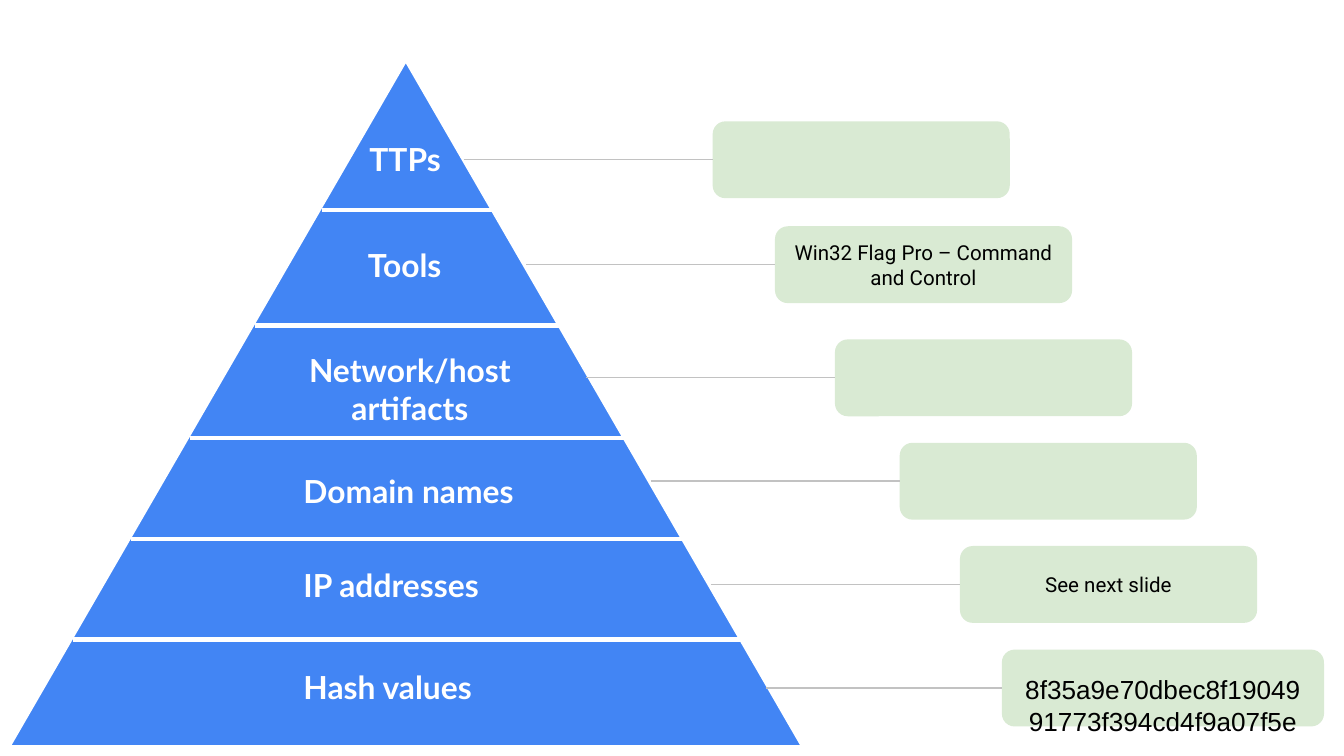
"""Build a pyramid-of-pain slide with one answer box for each level."""
from dataclasses import dataclass

from lxml import etree
from pptx import Presentation
from pptx.dml.color import RGBColor
from pptx.enum import shapes, text
from pptx.oxml import ns
from pptx.util import Pt


@dataclass(frozen=True)
class Theme:
    pyramid: RGBColor = RGBColor(0x42, 0x85, 0xF4)
    white: RGBColor = RGBColor(0xFF, 0xFF, 0xFF)
    answer: RGBColor = RGBColor(0xD9, 0xEA, 0xD3)
    leader: RGBColor = RGBColor(0xC2, 0xC2, 0xC2)
    ink: RGBColor = RGBColor(0, 0, 0)
    label_size: Pt = Pt(17)
    answer_size: Pt = Pt(11)
    hash_size: Pt = Pt(14)


theme = Theme()


def add_rule(parent, x1, x2, y, color, width):
    rule = parent.add_connector(shapes.MSO_CONNECTOR.STRAIGHT, Pt(x1), Pt(y), Pt(x2), Pt(y))
    rule.line.color.rgb = color
    rule.line.width = Pt(width)
    etree.SubElement(rule._element.spPr, ns.qn("a:effectLst"))
    return rule


def write(frame, wording, font_name, size, color, bold=False, align=None):
    frame.word_wrap = True
    frame.margin_left = frame.margin_right = Pt(7.2)
    frame.margin_top = frame.margin_bottom = Pt(7.2)
    paragraph = frame.paragraphs[0]
    paragraph.text = wording
    paragraph.alignment = align
    font = paragraph.font
    font.name, font.size, font.bold = font_name, size, bold
    font.color.rgb = color


deck = Presentation()
deck.slide_width, deck.slide_height = Pt(720), Pt(405)
slide = deck.slides.add_slide(deck.slide_layouts[6])

left, top, width, height = 4.3, 31.7, 426.2, 368.6
pyramid = slide.shapes.add_group_shape()
triangle = pyramid.shapes.add_shape(
    shapes.MSO_SHAPE.ISOSCELES_TRIANGLE, Pt(left), Pt(top), Pt(width), Pt(height))
triangle.shadow.inherit = False
triangle.fill.solid()
triangle.fill.fore_color.rgb = theme.pyramid
triangle.line.color.rgb = theme.white
triangle.line.width = Pt(2.25)

center = left + width / 2 + 1.5
for divider_y in (112.4, 174.4, 234.7, 288.9, 342.6):
    half = (divider_y - top) / height * width / 2
    add_rule(pyramid.shapes, center - half, center + half, divider_y, theme.white, 2.25)

CENTER = text.PP_ALIGN.CENTER
labels = [
    ("TTPs", 190.8, 67.7, 63.4, 35.3, None),
    ("Tools", 190, 124.3, 63.4, 35.3, None),
    ("Network/host artifacts", 141.1, 180.7, 157, 55.4, CENTER),
    ("Domain names", 155.5, 245.5, 161.3, 35.3, None),
    ("IP addresses", 155.5, 295.9, 161.3, 35.3, None),
    ("Hash values", 155.5, 350.6, 161.3, 35.3, None),
]
for wording, x, y, w, h, align in labels:
    label = slide.shapes.add_textbox(Pt(x), Pt(y), Pt(w), Pt(h))
    write(label.text_frame, wording, "Lato", theme.label_size, theme.white, True, align)
    label.text_frame.auto_size = text.MSO_AUTO_SIZE.SHAPE_TO_FIT_TEXT

file_hash = "8f35a9e70dbec8f1904991773f394cd4f9a07f5e"
answers = [
    ("", 381.8, 65, 159.2, 133.4),
    ("Win32 Flag Pro – Command and Control", 415.2, 121.2, 159.2, 133.4),
    ("", 447.3, 181.8, 159.2, 133.4),
    ("", 482, 237.2, 159.2, 133.4),
    ("See next slide", 514.3, 292.5, 159.2, 133.4),
    (file_hash, 536.7, 348, 172.6, 126.4),
]
answer_height = 41.2
for wording, x, y, w, reach in answers:
    answer = slide.shapes.add_shape(
        shapes.MSO_SHAPE.ROUNDED_RECTANGLE, Pt(x), Pt(y), Pt(w), Pt(answer_height))
    answer.shadow.inherit = False
    answer.fill.solid()
    answer.fill.fore_color.rgb = theme.answer
    answer.line.fill.background()
    leader = add_rule(slide.shapes, x - reach, x, y + answer_height / 2, theme.leader, 0.75)
    leader.end_connect(answer, 1)
    frame = answer.text_frame
    if wording == file_hash:
        write(frame, wording, "Arial", theme.hash_size, theme.ink, align=CENTER)
        frame.vertical_anchor = text.MSO_ANCHOR.TOP
        frame.margin_top, frame.margin_bottom = Pt(11), Pt(0)
    elif wording:
        write(frame, wording, "Roboto", theme.answer_size, theme.ink, align=CENTER)
        frame.vertical_anchor = text.MSO_ANCHOR.MIDDLE

deck.save("out.pptx")
